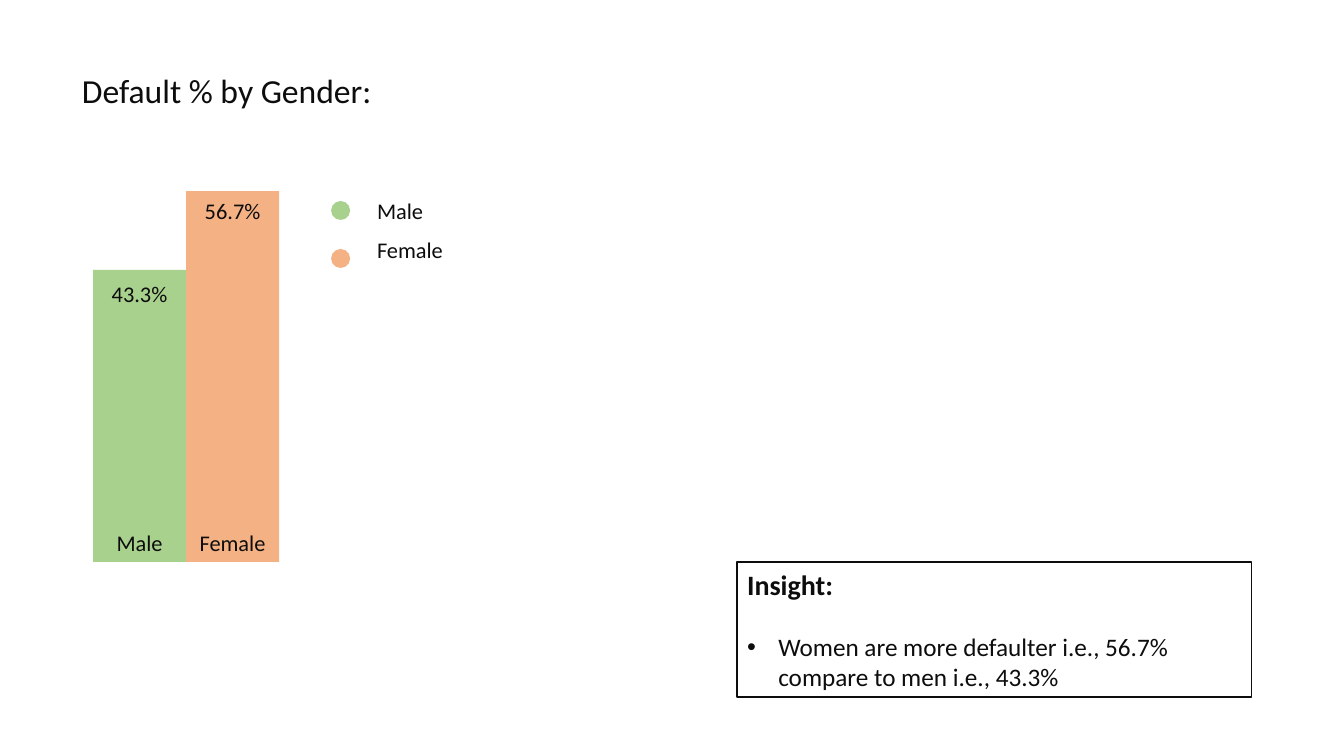
from lxml.etree import SubElement
from pptx import Presentation
from pptx.dml.color import RGBColor
from pptx.enum.shapes import MSO_SHAPE
from pptx.enum.text import MSO_ANCHOR, PP_ALIGN
from pptx.oxml.ns import qn
from pptx.util import Emu, Inches, Pt

SCALE = Inches(1) / 100.8
COLORS = {"ink": "0D0D0D", "Male": "A9D18E", "Female": "F4B183"}


class SlideBuilder:
    """Hold the slide style and draw each kind of element on the current page."""

    font = "Calibri"

    def __init__(self, page):
        self.page = page

    def place(self, *lengths):
        return [Emu(round(length * SCALE)) for length in lengths]

    def color(self, name):
        return RGBColor.from_string(COLORS[name])

    def shape(self, kind, area, fill=None, line=None):
        shape = self.page.shapes.add_shape(kind, *self.place(*area))
        shape.shadow.inherit = False
        if fill:
            shape.fill.solid()
            shape.fill.fore_color.rgb = self.color(fill)
        else:
            shape.fill.background()
        if line:
            shape.line.color.rgb = self.color(line)
            shape.line.width = Pt(1)
        else:
            shape.line.fill.background()
        return shape

    def add_span(self, para, text, size, bold=False, align=PP_ALIGN.LEFT):
        para.alignment = align
        span = para.add_run()
        span.text = text
        span.font.name = self.font
        span.font.size = Pt(size)
        span.font.bold = bold
        span.font.color.rgb = self.color("ink")

    def frame(self, shape):
        shape.text_frame.word_wrap = True
        shape.text_frame.vertical_anchor = MSO_ANCHOR.MIDDLE
        return shape.text_frame

    def label(self, text, area, size=16, align=PP_ALIGN.LEFT):
        box = self.page.shapes.add_textbox(*self.place(*area))
        self.add_span(self.frame(box).paragraphs[0], text, size, align=align)

    def bullet(self, para, indent):
        properties = para._p.get_or_add_pPr()
        properties.set("marL", str(indent))
        properties.set("indent", str(-indent))
        SubElement(properties, qn("a:buFont"), typeface="Arial")
        SubElement(properties, qn("a:buChar"), char="•")

    def insight(self, heading, point, area):
        frame = self.frame(self.shape(MSO_SHAPE.RECTANGLE, area, line="ink"))
        self.add_span(frame.paragraphs[0], heading, 20, bold=True)
        para = frame.add_paragraph()
        para.space_before = Pt(22)
        self.add_span(para, point, 18)
        self.bullet(para, Inches(0.31))


deck = Presentation()
deck.slide_width, deck.slide_height = Inches(13.33), Inches(7.5)
slide = SlideBuilder(deck.slides.add_slide(deck.slide_layouts[6]))

slide.insight(
    "Insight:",
    "Women are more defaulter i.e., 56.7% compare to men i.e., 43.3%",
    (737, 562, 514, 135),
)
slide.label("Default % by Gender:", (72, 58, 1109, 65), size=24)

BAR_LEFT, BAR_WIDTH, BASELINE = 93, 93, 562
LEGEND_TOP, ROW, DOT, DOT_STEP = 191, 39, 19, 48
genders = [("Male", "43.3%", 270, 47), ("Female", "56.7%", 191, 39)]

for index, (gender, share, top, share_height) in enumerate(genders):
    left = BAR_LEFT + index * BAR_WIDTH
    slide.shape(MSO_SHAPE.RECTANGLE, (left, top, BAR_WIDTH, BASELINE - top), gender)
    slide.label(gender, (left, BASELINE - ROW, BAR_WIDTH, ROW), align=PP_ALIGN.CENTER)
    slide.label(share, (left, top, BAR_WIDTH, share_height), align=PP_ALIGN.CENTER)
    slide.shape(MSO_SHAPE.OVAL, (331, 201 + index * DOT_STEP, DOT, DOT), gender)
    slide.label(gender, (367, LEGEND_TOP + index * ROW, BAR_WIDTH, ROW))

deck.save("out.pptx")
